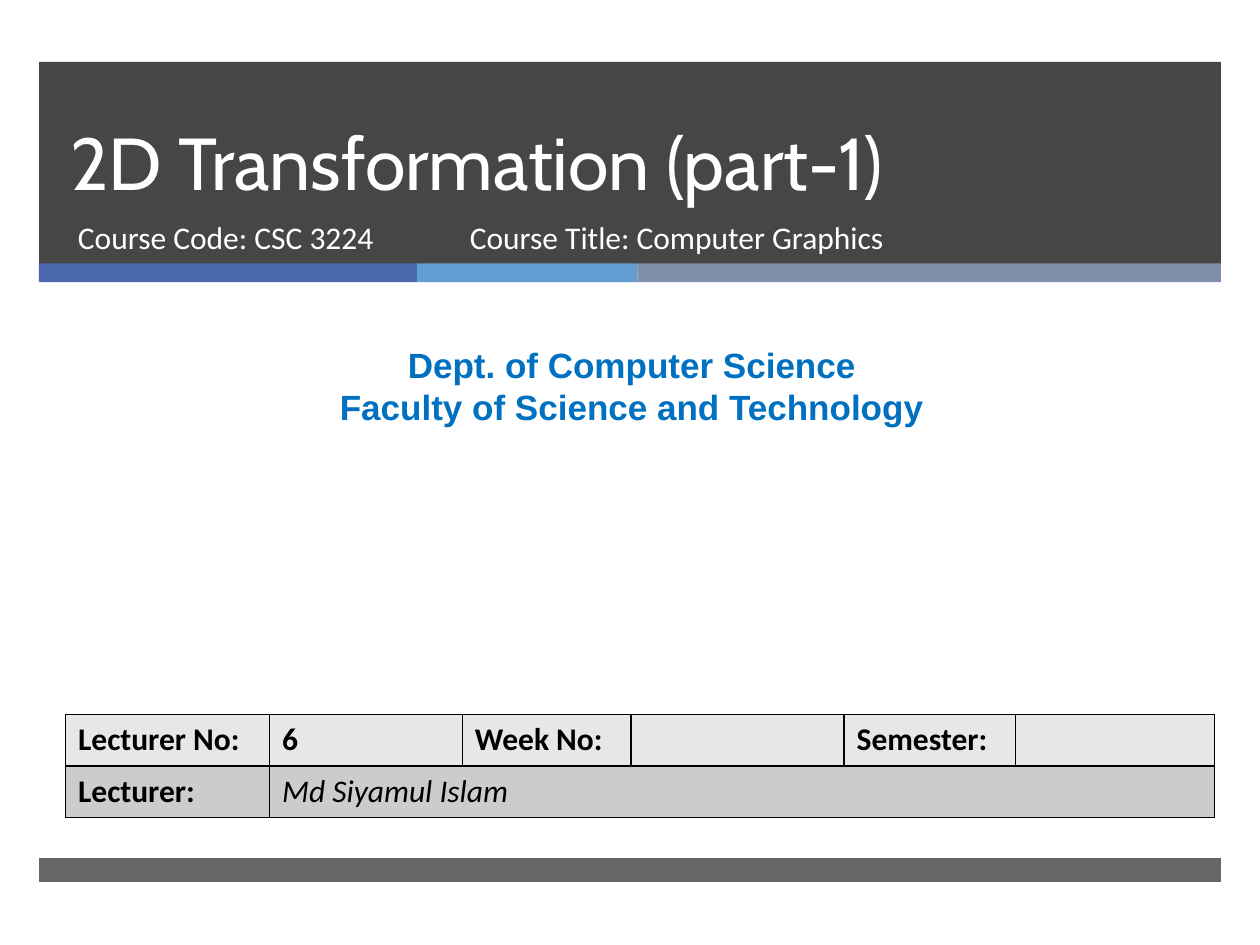
import pptx
import pptx.util
import pptx.dml.color
import pptx.enum.shapes
import pptx.enum.text
import pptx.oxml
import pptx.oxml.ns
import pptx.oxml.xmlchemy
from pptx.util import Inches

ALIGN = pptx.enum.text.PP_ALIGN
ANCHOR = pptx.enum.text.MSO_ANCHOR


def tint(hue):
    return pptx.dml.color.RGBColor.from_string(hue)


def write(frame, text, size=18, font="Calibri", hue="FFFFFF", bold=False,
          ital=False, align=ALIGN.LEFT, lead=None):
    for i, line in enumerate(text.split("\n")):
        para = frame.add_paragraph() if i else frame.paragraphs[0]
        para.alignment = align
        if lead:
            para.line_spacing = pptx.util.Pt(lead)
        style = para.font
        if line:
            run = para.add_run()
            run.text = line
            style = run.font
        style.size = pptx.util.Pt(size)
        style.name = font
        style.bold = bold
        style.italic = ital
        style.color.rgb = tint(hue)


class Deck:
    """Hold the style and the current slide."""

    def __init__(self, wide, high):
        self.file = pptx.Presentation()
        self.file.slide_width = Inches(wide)
        self.file.slide_height = Inches(high)
        self.slide = self.file.slides.add_slide(self.file.slide_layouts[6])
        self.dark = "262626"
        self.ink = "000000"
        self.rows = ("E7E7E7", "CCCCCC")

    def bar(self, x, y, w, h, hue, alpha=100):
        kind = pptx.enum.shapes.MSO_SHAPE.RECTANGLE
        box = self.slide.shapes.add_shape(
            kind, Inches(x), Inches(y), Inches(w), Inches(h))
        box.shadow.inherit = False
        box.line.fill.background()
        box.fill.solid()
        box.fill.fore_color.rgb = tint(hue)
        if alpha < 100:
            clr = box._element.spPr.find(
                ".//" + pptx.oxml.ns.qn("a:srgbClr"))
            node = pptx.oxml.xmlchemy.OxmlElement("a:alpha")
            node.set("val", str(alpha * 1000))
            clr.append(node)

    def label(self, x, y, w, h, text, anchor=ANCHOR.TOP, **form):
        box = self.slide.shapes.add_textbox(
            Inches(x), Inches(y), Inches(w), Inches(h))
        frame = box.text_frame
        frame.word_wrap = True
        frame.vertical_anchor = anchor
        write(frame, text, **form)

    def edge(self, cell):
        props = cell._tc.get_or_add_tcPr()
        for i, side in enumerate("LRTB"):
            props.insert(i, pptx.oxml.parse_xml(
                f'<a:ln{side} {pptx.oxml.ns.nsdecls("a")} w="12700">'
                f'<a:solidFill><a:srgbClr val="{self.ink}"/></a:solidFill>'
                f'</a:ln{side}>'))

    def table(self, x, y, cols, high, data):
        grid = self.slide.shapes.add_table(
            len(data), len(cols), Inches(x), Inches(y),
            Inches(sum(cols)), Inches(high * len(data))).table
        for col, wide in zip(grid.columns, cols):
            col.width = Inches(wide)
        for r, line in enumerate(data):
            grid.rows[r].height = Inches(high)
            for c, text in enumerate(line):
                cell = grid.cell(r, c)
                cell.fill.solid()
                cell.fill.fore_color.rgb = tint(self.rows[r % 2])
                self.edge(cell)
                name = r == 1 and c == 1
                write(cell.text_frame, text, hue=self.ink,
                      bold=not name, ital=name)
        grid.cell(1, 1).merge(grid.cell(1, len(cols) - 1))

    def save(self):
        self.file.save("out.pptx")


def main():
    deck = Deck(10, 7.5)
    left = 0.31
    deck.bar(left, 0.49, 9.38, 1.61, deck.dark, 85)
    x = left
    for wide, hue in ((3, "4A66AC"), (1.75, "629DD1"), (4.63, "7F8FA9")):
        deck.bar(x, 2.09, wide, 0.15, hue)
        x += wide
    deck.bar(left, 6.81, 9.38, 0.19, deck.dark, 70)
    deck.label(0.46, 0.49, 8.54, 1.19, "2D Transformation (part-1)",
               ANCHOR.BOTTOM, size=42, font="Cabin", lead=46)
    deck.label(0.52, 1.68, 3.05, 0.53, "Course Code: CSC 3224")
    deck.label(3.63, 1.68, 4.55, 0.53, "Course Title: Computer Graphics")
    deck.label(0.08, 2.68, 9.87, 0.77,
               "Dept. of Computer Science\nFaculty of Science and Technology",
               size=20, font="Arial", hue="0070C0", bold=True,
               align=ALIGN.CENTER)
    deck.table(0.52, 5.67, (1.62, 1.53, 1.34, 1.69, 1.36, 1.58), 0.41, (
        ("Lecturer No:", "6", "Week No:", "", "Semester:", ""),
        ("Lecturer:", "Md Siyamul Islam", "", "", "", "")))
    deck.save()


if __name__ == "__main__":
    main()
